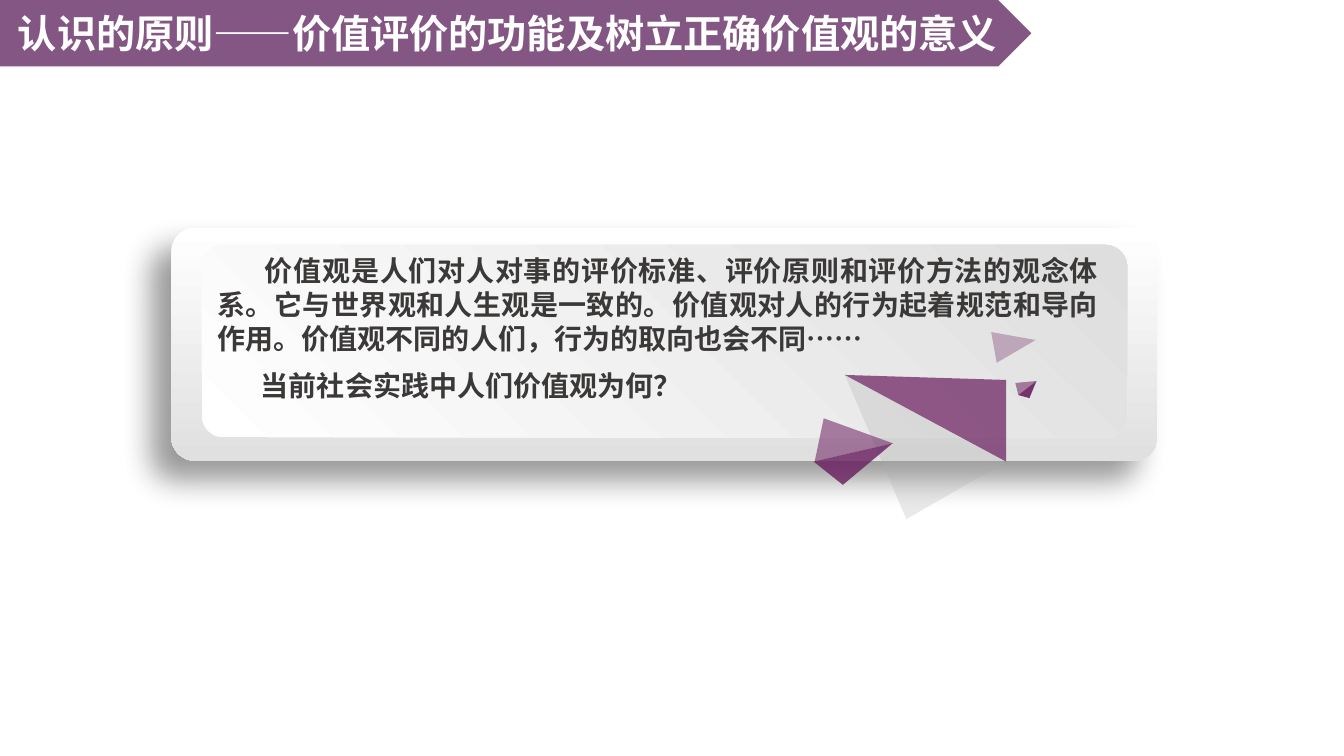
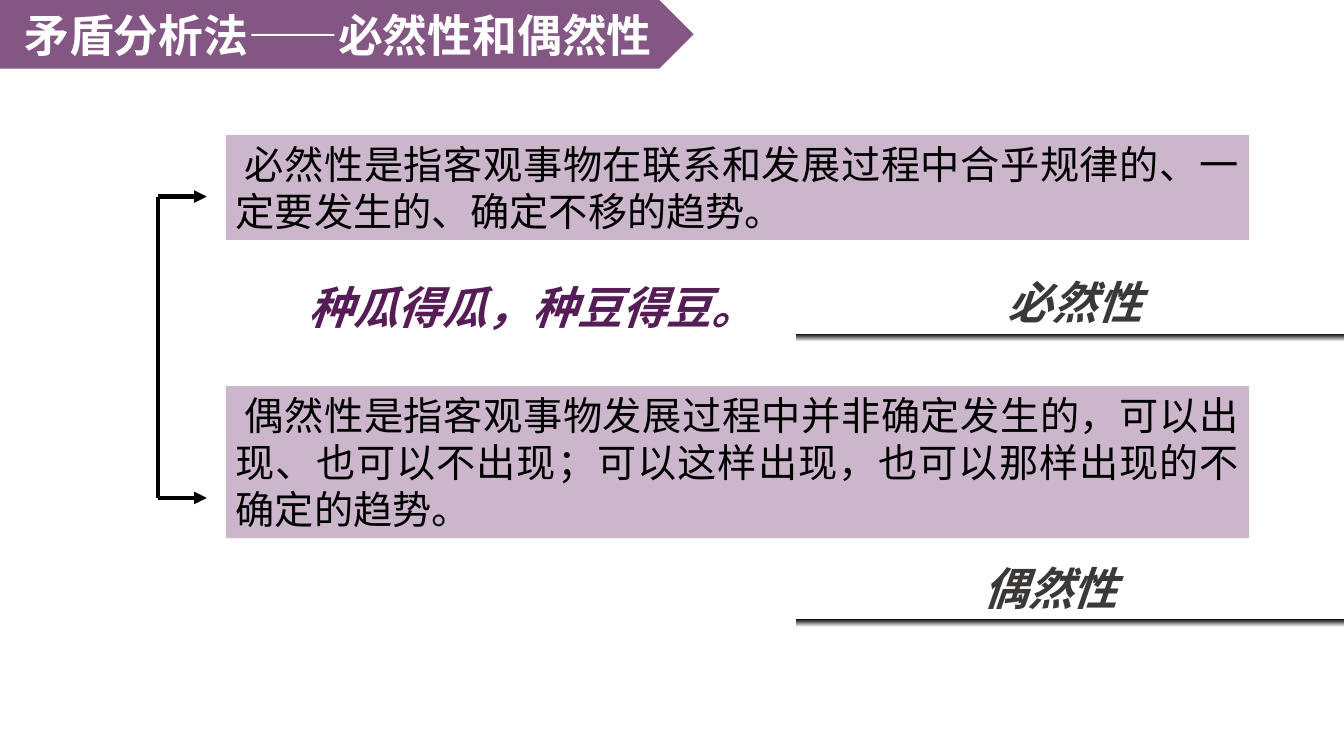
from lxml import etree
from pptx import Presentation
from pptx import util as u
from pptx.dml.color import RGBColor
from pptx.enum import shapes, text
from pptx.oxml.ns import qn

FONT = "Noto Sans CJK SC"
COLOURS = {
    "band": "5A1B58", "card": "7F4980", "facet": "6A1F5F", "facet_shade": "AFABAB",
    "motto": "551C55", "body": "3B3838", "white": "FFFFFF", "black": "000000",
    "frame_end": "E0E0E0", "panel_end": "DDDEDD",
}
ALIGN = text.PP_ALIGN
PRESET = shapes.MSO_SHAPE

# Content: value outlook slide
VALUES_TITLE = "认识的原则——价值评价的功能及树立正确价值观的意义"
VALUES_PARAGRAPHS = [  # text, first-line indent
    ("价值观是人们对人对事的评价标准、评价原则和评价方法的观念体系。它与世界观和人生观是一致的。"
     "价值观对人的行为起着规范和导向作用。价值观不同的人们，行为的取向也会不同……", 0.47),
    ("当前社会实践中人们价值观为何？", 0.43),
]
FACETS = [  # corners, colour, opacity in percent
    ([(8.99, 5.15), (8.38, 3.72), (9.98, 4.58)], "facet_shade", 26),
    ([(9.98, 3.77), (8.38, 3.72), (9.98, 4.58)], "facet", 72),
    ([(8.17, 4.15), (8.86, 4.4), (8.08, 4.58)], "facet", 55),
    ([(8.36, 4.81), (8.85, 4.4), (8.07, 4.58)], "facet", 81),
    ([(10.07, 3.8), (10.28, 3.78), (10.1, 3.92)], "facet", 54),
    ([(10.21, 3.95), (10.28, 3.78), (10.1, 3.92)], "facet", 90),
]

# Content: necessity and chance slide
CHANCE_TITLE = "矛盾分析法——必然性和偶然性"
DEFINITIONS = [  # text, top, height
    ("必然性是指客观事物在联系和发展过程中合乎规律的、一定要发生的、确定不移的趋势。", 1.34, 1.04),
    ("偶然性是指客观事物发展过程中并非确定发生的，可以出现、也可以不出现；"
     "可以这样出现，也可以那样出现的不确定的趋势。", 3.83, 1.51),
]
LABELS = [("必然性", 2.68, 6.3), ("偶然性", 5.51, 5.82)]  # text, top, width
MOTTO = "种瓜得瓜，种豆得豆。"
BRACKET_LEFT, BRACKET_RIGHT, BRACKET_ROWS = 1.57, 2.05, (1.95, 4.94)


def rgb(name):
    return RGBColor.from_string(COLOURS[name])


def inches(*lengths):
    return [u.Inches(length) for length in lengths]


def paint(shape, colour, opacity):
    shape.shadow.inherit = False
    shape.line.fill.background()
    shape.fill.solid()
    shape.fill.fore_color.rgb = rgb(colour)
    srgb = shape.fill._xPr.find(qn("a:solidFill"))[0]
    etree.SubElement(srgb, qn("a:alpha"), val=str(opacity * 1000))


def add_filled(slide, preset, box, colour, opacity):
    shape = slide.shapes.add_shape(preset, *inches(*box))
    paint(shape, colour, opacity)
    return shape


def add_gradient(slide, preset, box, start, end, angle, rounding=None):
    shape = slide.shapes.add_shape(preset, *inches(*box))
    shape.shadow.inherit = False
    shape.line.fill.background()
    shape.fill.gradient()
    shape.fill.gradient_angle = angle
    for stop, colour in zip(shape.fill.gradient_stops, (start, end)):
        stop.color.rgb = rgb(colour)
    if rounding is not None:
        shape.adjustments[0] = rounding
    return shape


def write(shape, paragraphs, size, colour, align, bold=False, italic=False,
          anchor=text.MSO_ANCHOR.TOP):
    """Fill a shape with (text, first-line indent) paragraphs."""
    frame = shape.text_frame
    frame.word_wrap = True
    frame.vertical_anchor = anchor
    for index, (words, indent) in enumerate(paragraphs):
        paragraph = frame.add_paragraph() if index else frame.paragraphs[0]
        paragraph.text = words
        paragraph.alignment = align
        if index:
            paragraph.space_before = u.Pt(10)
        properties = paragraph._p.get_or_add_pPr()
        if indent:
            properties.set("indent", str(u.Inches(indent)))
        font = paragraph.font
        font.size, font.bold, font.italic = u.Pt(size), bold, italic
        font.color.rgb = rgb(colour)
        font.name = FONT
        etree.SubElement(properties.find(qn("a:defRPr")), qn("a:ea"), typeface=FONT)


def add_text(slide, box, paragraphs, *style, **options):
    write(slide.shapes.add_textbox(*inches(*box)), paragraphs, *style, **options)


def add_title(slide, words, width, height, size):
    band = add_filled(slide, PRESET.PENTAGON, (0, 0, width, height), "band", 74)
    write(band, [(words, 0)], size, "white", ALIGN.CENTER, bold=True,
          anchor=text.MSO_ANCHOR.MIDDLE)


def add_drop_shadow(shape):
    effects = shape._element.spPr.find(qn("a:effectLst"))
    shadow = etree.SubElement(effects, qn("a:outerShdw"), blurRad=str(u.Pt(22)),
                              dist=str(u.Pt(20)), dir=str(135 * 60000),
                              algn="tr", rotWithShape="0")
    srgb = etree.SubElement(shadow, qn("a:srgbClr"), val=COLOURS["black"])
    etree.SubElement(srgb, qn("a:alpha"), val="40000")


def add_line(slide, start, end, arrow=False):
    line = slide.shapes.add_connector(shapes.MSO_CONNECTOR.STRAIGHT, *inches(*start, *end))
    line.line.color.rgb = rgb("black")
    line.line.width = u.Pt(3)
    if arrow:
        etree.SubElement(line.line._get_or_add_ln(), qn("a:tailEnd"), type="triangle")
    etree.SubElement(line._element.spPr, qn("a:effectLst"))


def build_values(slide):
    add_title(slide, VALUES_TITLE, 10.23, 0.66, 28)

    # Framed panel
    frame = add_gradient(slide, PRESET.ROUNDED_RECTANGLE, (1.7, 2.26, 9.78, 2.31),
                         "white", "frame_end", 270, 0.1)
    add_drop_shadow(frame)
    add_gradient(slide, PRESET.ROUNDED_RECTANGLE, (2, 2.43, 9.18, 1.91),
                 "white", "panel_end", 45, 0.115)
    add_text(slide, (2.06, 2.47, 8.93, 1.59), VALUES_PARAGRAPHS, 20, "body",
             ALIGN.JUSTIFY, bold=True)

    # Folded-paper triangles
    for corners, colour, opacity in FACETS:
        first, *others = [inches(*corner) for corner in corners]
        builder = slide.shapes.build_freeform(*first, scale=1.0)
        builder.add_line_segments(others, close=True)
        paint(builder.convert_to_shape(), colour, opacity)
    small = add_filled(slide, PRESET.ISOSCELES_TRIANGLE, (9.91, 3.2, 0.31, 0.42), "facet", 31)
    small.rotation = 79.9


def build_chance(slide):
    add_title(slide, CHANCE_TITLE, 6.88, 0.68, 32)

    # Definitions
    for words, top, height in DEFINITIONS:
        card = add_filled(slide, PRESET.RECTANGLE, (2.24, top, 10.15, height), "card", 40)
        write(card, [(words, 0.09)], 28, "black", ALIGN.JUSTIFY)

    # Underlined labels and motto
    for words, top, width in LABELS:
        add_text(slide, (7.51, top, width, 0.64), [(words, 0)], 32, "body",
                 ALIGN.CENTER, bold=True, italic=True)
        add_gradient(slide, PRESET.RECTANGLE, (7.9, top + 0.63, 5.43, 0.08),
                     "black", "white", 270)
    add_text(slide, (2.96, 2.73, 5.12, 0.64), [(MOTTO, 0)], 32, "motto",
             ALIGN.LEFT, bold=True, italic=True)

    # Bracket with arrows
    add_line(slide, *[(BRACKET_LEFT, row) for row in BRACKET_ROWS])
    for row in BRACKET_ROWS:
        add_line(slide, (BRACKET_LEFT, row), (BRACKET_RIGHT, row), arrow=True)


def main():
    presentation = Presentation()
    presentation.slide_width, presentation.slide_height = inches(13.33, 7.5)
    for build in (build_values, build_chance):
        build(presentation.slides.add_slide(presentation.slide_layouts[6]))
    presentation.save("out.pptx")


if __name__ == "__main__":
    main()
